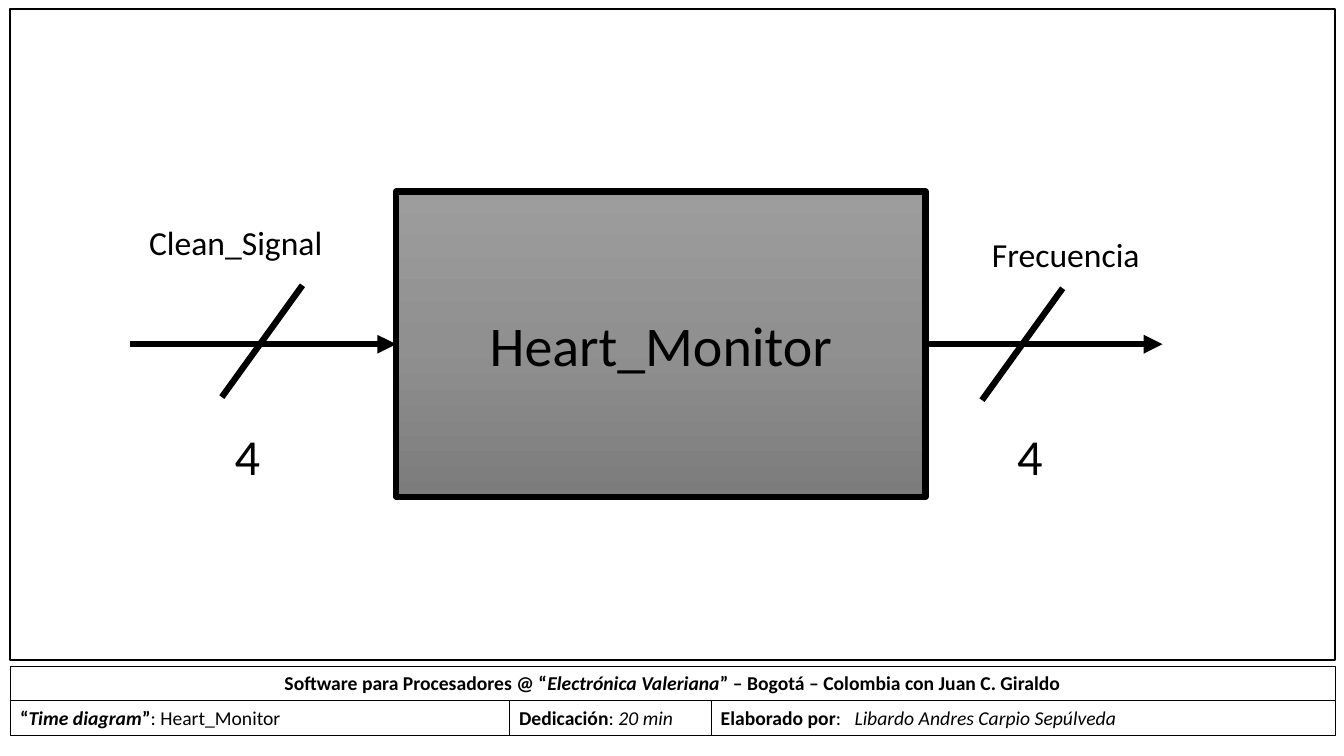
from copy import deepcopy
from pptx import Presentation
from pptx.dml.color import RGBColor
from pptx.enum.shapes import MSO_CONNECTOR, MSO_SHAPE
from pptx.enum.text import MSO_ANCHOR, PP_ALIGN
from pptx.oxml.ns import qn
from pptx.oxml.xmlchemy import OxmlElement
from pptx.util import Inches, Pt

# Content: runs are (text, style), with b for bold and i for italic
FONT = "Calibri"
COLORS = {"ink": "000000", "top": "9D9D9D", "middle": "909090", "bottom": "7C7C7C"}
BLOCK_NAME = "Heart_Monitor"
COURSE = [("Software para Procesadores @ “", "b"), ("Electrónica Valeriana", "bi"),
          ("” – Bogotá – Colombia con Juan C. Giraldo", "b")]
DETAILS = [  # (width, runs)
    (4.95, [("“", "b"), ("Time diagram", "bi"), ("”", "b"), (": " + BLOCK_NAME, "")]),
    (2.0, [("Dedicación", "b"), (": ", ""), ("20 min", "i")]),
    (6.19, [("Elaborado por", "b"), (":   ", ""),
            ("Libardo Andres Carpio Sepúlveda", "i")]),
]

# Layout in inches
MARGIN, FRAME_TOP, FRAME_H = 0.1, 0.09, 6.46
FRAME_W = sum(width for width, _ in DETAILS)
FOOTER_TOP, ROW_H = 6.61, 0.34
BLOCK_X, BLOCK_Y, BLOCK_W, BLOCK_H = 3.93, 1.9, 5.25, 3.03
SIGNAL_Y = BLOCK_Y + BLOCK_H / 2
SLASH_W, SLASH_H = 0.8, 1.11
SIGNALS = [  # name, name position, bits, bits x, arrow ends, top right of slash
    ("Clean_Signal", (1.38, 2.15), "4", 2.23, (1.29, BLOCK_X), (3.0, 2.83)),
    ("Frecuencia", (9.74, 2.27), "4", 9.99, (BLOCK_X + BLOCK_W, 11.53), (10.54, 2.86)),
]

prs = Presentation()
prs.slide_width, prs.slide_height = Inches(13.33), Inches(7.5)
slide = prs.slides.add_slide(prs.slide_layouts[6])


def rgb(name):
    return RGBColor.from_string(COLORS[name])


def write(shape, runs, size, align=PP_ALIGN.LEFT, anchor=MSO_ANCHOR.TOP):
    frame = shape.text_frame
    frame.word_wrap, frame.vertical_anchor = True, anchor
    paragraph = frame.paragraphs[0]
    paragraph.alignment = align
    for text, style in runs:
        run = paragraph.add_run()
        run.text = text
        run.font.name, run.font.size = FONT, Pt(size)
        run.font.bold, run.font.italic = "b" in style, "i" in style
        run.font.color.rgb = rgb("ink")


def box(x, y, w, h, line_width):
    shape = slide.shapes.add_shape(MSO_SHAPE.RECTANGLE, *map(Inches, (x, y, w, h)))
    shape.shadow.inherit = False
    shape.fill.background()
    shape.line.color.rgb = rgb("ink")
    shape.line.width = Pt(line_width)
    return shape


def label(x, y, w, h, text, size):
    write(slide.shapes.add_textbox(*map(Inches, (x, y, w, h))), [(text, "")], size)


def line(x1, y1, x2, y2, arrow=False):
    connector = slide.shapes.add_connector(
        MSO_CONNECTOR.STRAIGHT, *map(Inches, (x1, y1, x2, y2)))
    connector.line.color.rgb = rgb("ink")
    connector.line.width = Pt(4.5)
    if arrow:
        head = OxmlElement("a:tailEnd")
        head.set("type", "triangle")
        connector.line._get_or_add_ln().append(head)
    connector._element.spPr.append(OxmlElement("a:effectLst"))


# Frame and footer
box(MARGIN, FRAME_TOP, FRAME_W, FRAME_H, 1)
write(box(MARGIN, FOOTER_TOP, FRAME_W, ROW_H, 0.25), COURSE, 14, PP_ALIGN.CENTER)
x = MARGIN
for width, runs in DETAILS:
    write(box(x, FOOTER_TOP + ROW_H, width, ROW_H, 0.25), runs, 14)
    x += width

# Block with a three-stop vertical gradient
block = box(BLOCK_X, BLOCK_Y, BLOCK_W, BLOCK_H, 4.5)
block.fill.gradient()
block.fill.gradient_angle = 270
stop_list = block._element.spPr.find(qn("a:gradFill")).find(qn("a:gsLst"))
stop_list.append(deepcopy(stop_list[0]))
for stop, position, name in zip(block.fill.gradient_stops, (0, 0.5, 1),
                                ("top", "middle", "bottom")):
    stop.position = position
    stop.color.rgb = rgb(name)
write(block, [(BLOCK_NAME, "")], 40, PP_ALIGN.CENTER, MSO_ANCHOR.MIDDLE)

# Signals: arrow, bus slash, width in bits and name
for name, (name_x, name_y), bits, bits_x, (start, end), (slash_x, slash_y) in SIGNALS:
    line(start, SIGNAL_Y, end, SIGNAL_Y, arrow=True)
    line(slash_x, slash_y, slash_x - SLASH_W, slash_y + SLASH_H)
    label(bits_x, 4.17, 0.37, 0.71, bits, 36)
    label(name_x, name_y, 2.38, 0.5, name, 24)

prs.save("out.pptx")
